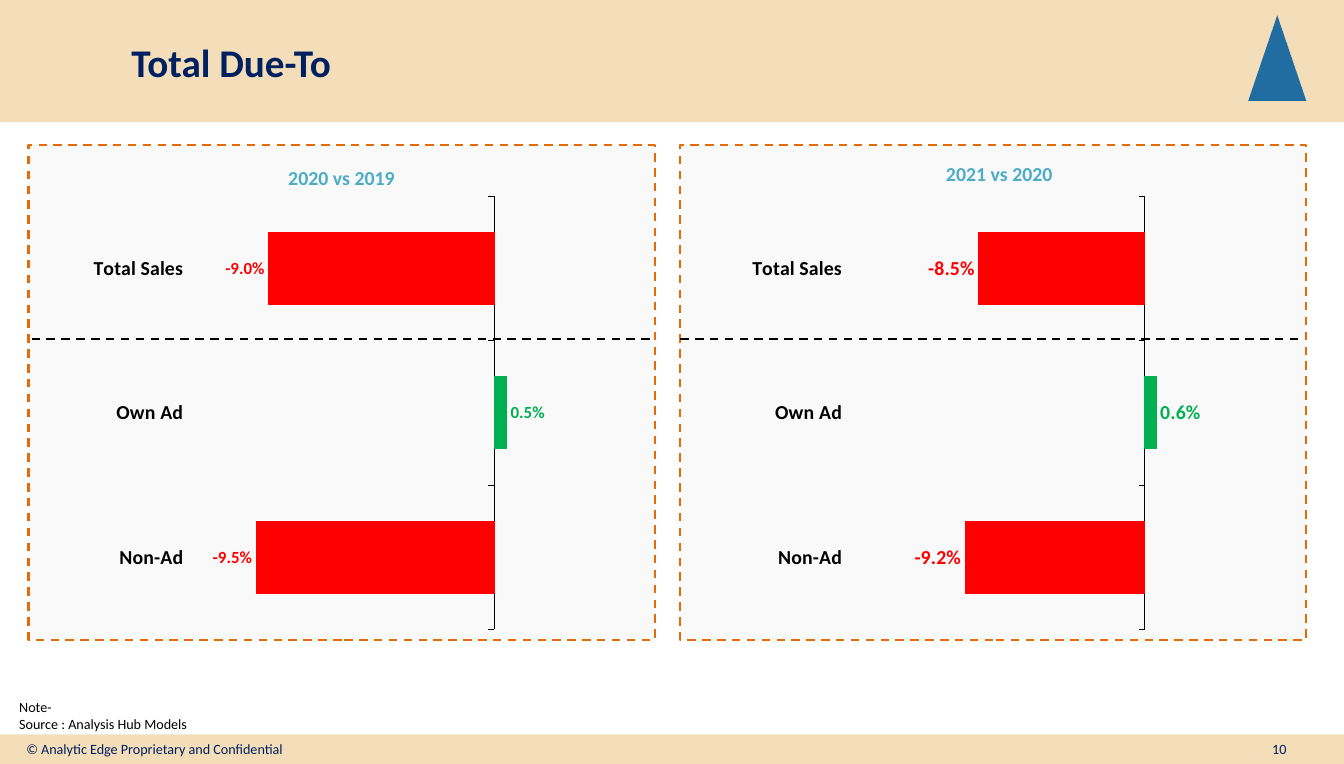
"""Builds the Total Due-To slide with two year-on-year bar charts."""
from dataclasses import dataclass

from lxml import etree
from pptx import Presentation
from pptx.chart.data import CategoryChartData
from pptx.dml.color import RGBColor
from pptx.enum.chart import XL_CHART_TYPE, XL_LABEL_POSITION, XL_TICK_LABEL_POSITION, XL_TICK_MARK
from pptx.enum.dml import MSO_LINE
from pptx.enum.shapes import MSO_CONNECTOR, MSO_SHAPE
from pptx.enum.text import MSO_ANCHOR, PP_ALIGN
from pptx.oxml.ns import qn
from pptx.util import Inches, Pt

BAR = XL_CHART_TYPE.BAR_CLUSTERED
OUTSIDE_END = XL_LABEL_POSITION.OUTSIDE_END
LOW = XL_TICK_LABEL_POSITION.LOW
TICK_OUT, TICK_NONE = XL_TICK_MARK.OUTSIDE, XL_TICK_MARK.NONE
DASH = MSO_LINE.DASH
STRAIGHT = MSO_CONNECTOR.STRAIGHT
RECTANGLE, TRIANGLE = MSO_SHAPE.RECTANGLE, MSO_SHAPE.ISOSCELES_TRIANGLE
LEFT, CENTER = PP_ALIGN.LEFT, PP_ALIGN.CENTER
MIDDLE = MSO_ANCHOR.MIDDLE


@dataclass(frozen=True)
class Theme:
    font: str = "Calibri"
    band: RGBColor = RGBColor.from_string("F4DEB9")
    navy: RGBColor = RGBColor.from_string("002060")
    mark: RGBColor = RGBColor.from_string("216CA0")
    panel: RGBColor = RGBColor.from_string("E5E5E5")
    border: RGBColor = RGBColor.from_string("E36C09")
    heading: RGBColor = RGBColor.from_string("4BACC6")
    black: RGBColor = RGBColor.from_string("000000")
    loss: RGBColor = RGBColor.from_string("FF0000")
    gain: RGBColor = RGBColor.from_string("00B050")
    title_size: float = 27.7
    body_size: float = 14
    small_size: float = 10


theme = Theme()
deck = Presentation()
deck.slide_width, deck.slide_height = Inches(13.2), Inches(7.5)
page = deck.slides.add_slide(deck.slide_layouts[5])


def add_block(kind, left, top, width, height, color):
    block = page.shapes.add_shape(kind, Inches(left), Inches(top), Inches(width), Inches(height))
    block.shadow.inherit = False
    block.fill.solid()
    block.fill.fore_color.rgb = color
    block.line.fill.background()
    return block


def write(box, text, size, color, bold=False, align=LEFT):
    box.text_frame.word_wrap = True
    box.text_frame.text = text
    for para in box.text_frame.paragraphs:
        para.alignment = align
        for span in para.runs:
            span.font.name = theme.font
            span.font.size = Pt(size)
            span.font.bold = bold
            span.font.color.rgb = color


add_block(RECTANGLE, 0, 0, 13.2, 1.2, theme.band)
add_block(RECTANGLE, 0, 7.21, 13.2, 0.29, theme.band)
add_block(TRIANGLE, 12.26, 0.15, 0.57, 0.84, theme.mark)

title = page.shapes.title
title.element.getparent().append(title.element)
title.left, title.top = Inches(1.19), Inches(0.18)
title.width, title.height = Inches(10.85), Inches(0.86)
title.text_frame.vertical_anchor = MIDDLE
write(title, "Total Due-To", theme.title_size, theme.navy, bold=True)

comparisons = [
    ("2020 vs 2019", 0.28, 0.28, 1.58, 0.31, (-0.09, 0.005, -0.095), -0.12, 0.02, 0.231, 12),
    ("2021 vs 2020", 6.68, 6.74, 1.54, 6.68, (-0.085, 0.006, -0.092), -0.15, 0.03, 0.244, 14),
]
for (heading, panel_left, heading_left, heading_top, divider_left,
     values, low, high, plot_left, label_size) in comparisons:
    panel = add_block(RECTANGLE, panel_left, 1.42, 6.15, 4.86, theme.panel)
    panel.line.color.rgb = theme.border
    panel.line.width = Pt(1.5)
    panel.line.dash_style = DASH
    shade = panel.fill.fore_color
    shade_xml = panel.element.spPr.find(qn("a:solidFill")).find(qn("a:srgbClr"))
    etree.SubElement(shade_xml, qn("a:alpha")).set("val", "20000")

    data = CategoryChartData(number_format="0.0%")
    data.categories = ["Total Sales", "Own Ad", "Non-Ad"]
    data.add_series("Series 1", values)
    chart = page.shapes.add_chart(
        BAR, Inches(panel_left + 0.37), Inches(1.32), Inches(5.41), Inches(5.1), data).chart
    chart.has_legend = False
    chart.has_title = False
    chart.font.name = theme.font
    chart.font.size = Pt(theme.body_size)
    chart.font.color.rgb = theme.black

    rows = chart.category_axis
    rows.reverse_order = True
    rows.tick_label_position = LOW
    rows.major_tick_mark = TICK_OUT
    rows.minor_tick_mark = TICK_NONE
    rows.has_major_gridlines = False
    rows.tick_labels.font.bold = True
    rows.tick_labels.font.size = Pt(theme.body_size)
    rows.format.line.color.rgb = theme.black
    rows.format.line.width = Pt(0.75)
    scale = chart.value_axis
    scale.visible = False
    scale.has_major_gridlines = False
    scale.minimum_scale, scale.maximum_scale = low, high

    plot = chart.plots[0]
    plot.gap_width = 100
    plot.vary_by_categories = False
    series = plot.series[0]
    series.invert_if_negative = False
    labels = series.data_labels
    labels.show_value = True
    labels.number_format = "0.0%"
    labels.number_format_is_linked = False
    labels.position = OUTSIDE_END
    for index, value in enumerate(values):
        color = theme.loss if value < 0 else theme.gain
        point = series.points[index]
        point.format.fill.solid()
        point.format.fill.fore_color.rgb = color
        point.format.line.color.rgb = color
        point.format.line.width = Pt(0.75)
        label = point.data_label
        label.font.name = theme.font
        label.font.size = Pt(label_size)
        label.font.bold = True
        label.font.color.rgb = color
        label.position = OUTSIDE_END

    area = chart.element.find(".//" + qn("c:plotArea"))
    layout = area.find(qn("c:layout"))
    if layout is None:
        layout = etree.Element(qn("c:layout"))
        area.insert(0, layout)
    manual = etree.SubElement(layout, qn("c:manualLayout"))
    for tag, setting in [("layoutTarget", "inner"), ("xMode", "edge"), ("yMode", "edge"),
                         ("x", plot_left), ("y", 0.119), ("w", 0.637), ("h", 0.834)]:
        etree.SubElement(manual, qn("c:" + tag)).set("val", str(setting))

    box = page.shapes.add_textbox(
        Inches(heading_left), Inches(heading_top), Inches(6.15), Inches(0.34))
    write(box, heading, theme.body_size, theme.heading, bold=True, align=CENTER)

    divider = page.shapes.add_connector(
        STRAIGHT, Inches(divider_left), Inches(3.33), Inches(divider_left + 6.12), Inches(3.33))
    divider.line.color.rgb = theme.black
    divider.line.width = Pt(1.5)
    divider.line.dash_style = DASH
    etree.SubElement(divider.element.spPr, qn("a:effectLst"))

footers = [
    ("Note-\nSource : Analysis Hub Models", 0.09, 6.81, 6.62, 0.44, theme.black, LEFT),
    ("© Analytic Edge Proprietary and Confidential", 0.16, 7.22, 2.77, 0.28, theme.navy, LEFT),
    ("10", 12.25, 7.22, 0.63, 0.28, theme.navy, CENTER),
]
for text, left, top, width, height, color, align in footers:
    box = page.shapes.add_textbox(Inches(left), Inches(top), Inches(width), Inches(height))
    write(box, text, theme.small_size, color, align=align)

deck.save("out.pptx")
